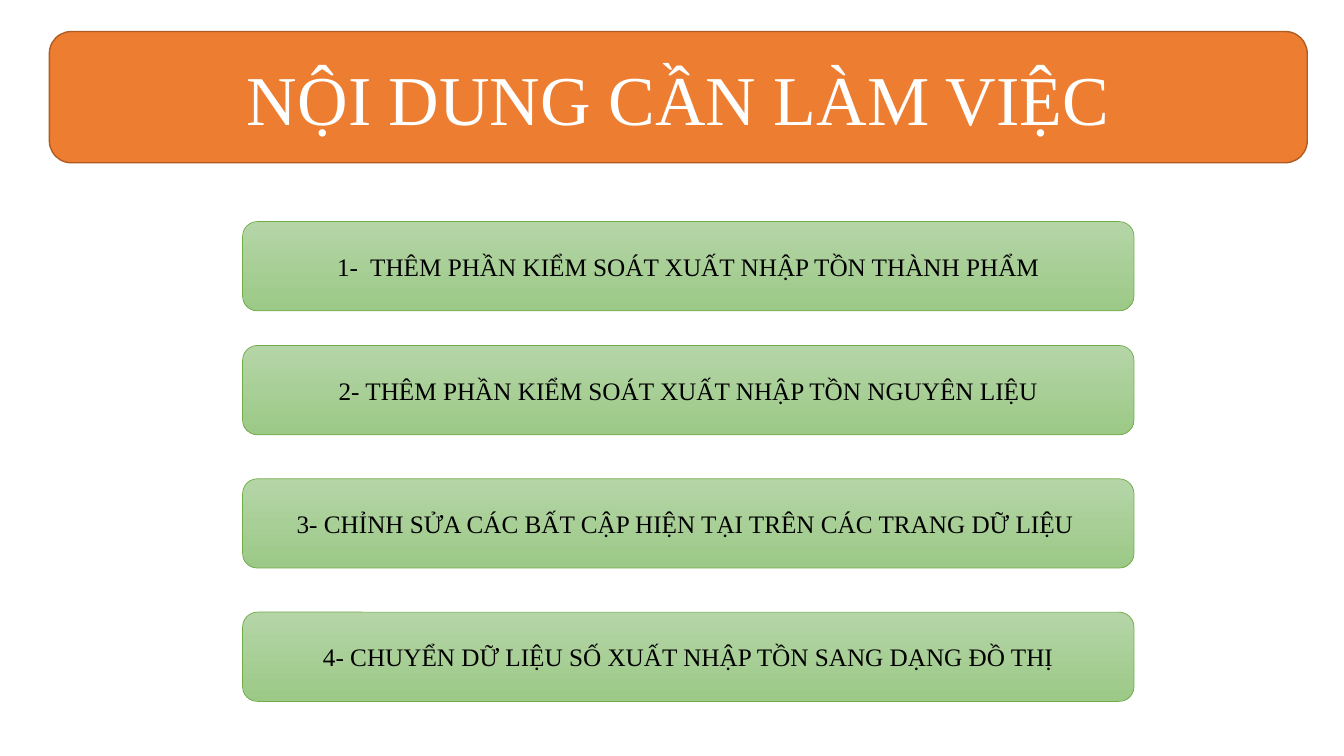
from dataclasses import dataclass

from pptx import Presentation
from pptx.dml.color import RGBColor
from pptx.enum.shapes import MSO_SHAPE
from pptx.enum.text import MSO_ANCHOR, PP_ALIGN
from pptx.util import Pt

ROUND = MSO_SHAPE.ROUNDED_RECTANGLE
MIDDLE = MSO_ANCHOR.MIDDLE
CENTER = PP_ALIGN.CENTER
SCALE = 9525


@dataclass(frozen=True)
class Theme:
    font: str = "Times New Roman"
    title_size: int = 50
    task_size: int = 18
    white: str = "FFFFFF"
    black: str = "000000"
    orange: str = "ED7D31"
    rust: str = "AF5C24"
    green: str = "70AD47"
    fade: tuple = ("B5D5A7", "9CC987")


THEME = Theme()
TITLE = "NỘI DUNG CẦN LÀM VIỆC"
TASKS = [
    (0, "1-  THÊM PHẦN KIỂM SOÁT XUẤT NHẬP TỒN THÀNH PHẨM"),
    (118, "2- THÊM PHẦN KIỂM SOÁT XUẤT NHẬP TỒN NGUYÊN LIỆU"),
    (245, "3- CHỈNH SỬA CÁC BẤT CẬP HIỆN TẠI TRÊN CÁC TRANG DỮ LIỆU "),
    (372, "4- CHUYỂN DỮ LIỆU SỐ XUẤT NHẬP TỒN SANG DẠNG ĐỒ THỊ"),
]


def px(count):
    return count * SCALE


def rgb(code):
    return RGBColor.from_string(code)


def add_card(slide, box, text, size, color, edge, weight):
    card = slide.shapes.add_shape(ROUND, *map(px, box))
    card.shadow.inherit = False
    card.line.color.rgb = rgb(edge)
    card.line.width = Pt(weight)
    frame = card.text_frame
    frame.word_wrap = True
    frame.vertical_anchor = MIDDLE
    para = frame.paragraphs[0]
    para.alignment = CENTER
    run = para.add_run()
    run.text = text
    run.font.name = THEME.font
    run.font.size = Pt(size)
    run.font.color.rgb = rgb(color)
    return card


def add_title(slide, box):
    card = add_card(slide, box, TITLE, THEME.title_size, THEME.white, THEME.rust, 1)
    card.fill.solid()
    card.fill.fore_color.rgb = rgb(THEME.orange)


def add_tasks(slide, box):
    left, top, width, height = box
    for drop, text in TASKS:
        place = (left, top + drop, width, height - TASKS[-1][0])
        card = add_card(slide, place, text, THEME.task_size, THEME.black, THEME.green, 0.5)
        card.fill.gradient()
        card.fill.gradient_angle = 270
        for stop, code in zip(card.fill.gradient_stops, THEME.fade):
            stop.color.rgb = rgb(code)


def main():
    deck = Presentation()
    deck.slide_width = px(1280)
    deck.slide_height = px(720)
    slide = deck.slides.add_slide(deck.slide_layouts[6])
    add_title(slide, (47, 30, 1198, 125))
    add_tasks(slide, (231, 211, 849, 457))
    deck.save("out.pptx")


if __name__ == "__main__":
    main()
